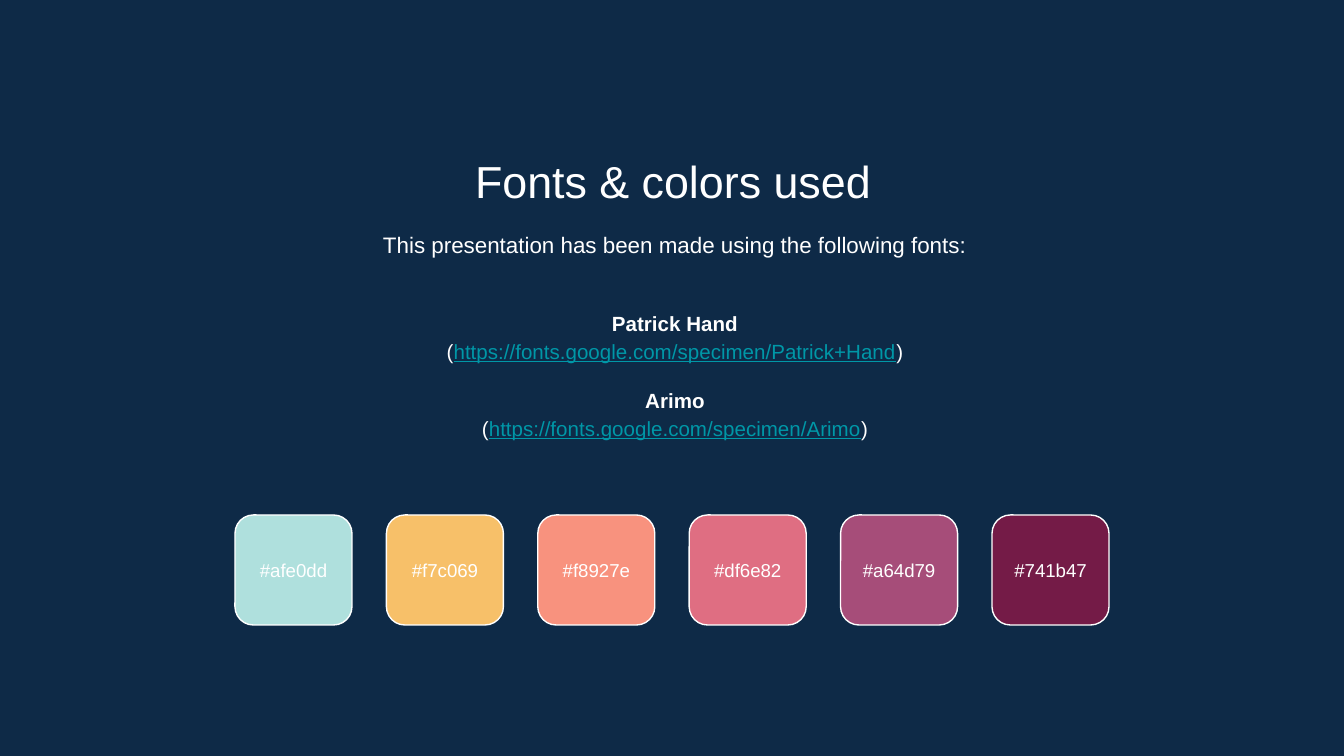
from pptx import Presentation
from pptx import util as u
from pptx.dml.color import RGBColor
from pptx.enum import shapes, text
from pptx.oxml import parse_xml
from pptx.oxml.ns import nsdecls

PX = u.Inches(10) / 1344
COLORS = {"background": "0E2A47", "text": "FFFFFF", "link": "0097A7"}
HEADING = "Fonts & colors used"
INTRO = "This presentation has been made using the following fonts:"
FONTS = [
    ("Patrick Hand", "https://fonts.google.com/specimen/Patrick+Hand"),
    ("Arimo", "https://fonts.google.com/specimen/Arimo"),
]
PALETTE = ["#afe0dd", "#f7c069", "#f8927e", "#df6e82", "#a64d79", "#741b47"]

HEADING_BOX = (155, 140, 1036, 71)
INTRO_BOX = (157, 214, 1036, 65)
FONTS_BOX = (157, 282, 1036, 184)
ROW_LEFT, ROW_RIGHT = 235, 1109
SWATCH_TOP, SWATCH_W, SWATCH_H = 515, 117, 110
LABEL_H = 65

FRAME = {"word_wrap": True, "auto_size": text.MSO_AUTO_SIZE.NONE}
FRAME |= {f"margin_{side}": u.Inches(0.1) for side in ("left", "right", "top", "bottom")}
PARAGRAPH = {"alignment": text.PP_ALIGN.CENTER, "space_before": u.Pt(0), "space_after": u.Pt(0)}
TOP, MIDDLE = text.MSO_ANCHOR.TOP, text.MSO_ANCHOR.MIDDLE


def px(*lengths):
    return [round(length * PX) for length in lengths]


def rgb(name):
    return RGBColor.from_string(COLORS[name])


def apply(target, values):
    for key, value in values.items():
        setattr(target, key, value)


def place(part, box):
    apply(part, dict(zip(("left", "top", "width", "height"), px(*box))))


def write(part, lines, size, anchor=TOP, spacing=1.0, group=1, gap=0):
    frame = part.text_frame
    apply(frame, FRAME | {"vertical_anchor": anchor})
    for index, runs in enumerate(lines):
        line = frame.add_paragraph() if index else frame.paragraphs[0]
        if part.is_placeholder:
            properties = line._p.get_or_add_pPr()
            properties.set("marL", "0")
            properties.set("indent", "0")
            properties.append(parse_xml(f"<a:buNone {nsdecls('a')}/>"))
        apply(line, PARAGRAPH | {"line_spacing": spacing})
        if index and index % group == 0:
            line.space_before = u.Pt(gap)
        for words, style in runs:
            run = line.add_run()
            run.text = words
            apply(run.font, {"name": "Arial", "size": u.Pt(size), "bold": style == "bold",
                             "underline": style == "link"})
            run.font.color.rgb = rgb("link" if style == "link" else "text")


deck = Presentation()
deck.slide_width, deck.slide_height = px(1344, 756)
slide = deck.slides.add_slide(deck.slide_layouts.get_by_name("Two Content"))
slide.background.fill.solid()
slide.background.fill.fore_color.rgb = rgb("background")

heading, intro, font_list = list(slide.placeholders)[:3]
for part, box in ((heading, HEADING_BOX), (intro, INTRO_BOX), (font_list, FONTS_BOX)):
    place(part, box)

write(heading, [[(HEADING, "plain")]], 24)
write(intro, [[(INTRO, "plain")]], 12, spacing=1.15)
font_lines = []
for font_name, address in FONTS:
    font_lines += [[(font_name, "bold")], [("(", "plain"), (address, "link"), (")", "plain")]]
write(font_list, font_lines, 11, MIDDLE, 1.15, group=2, gap=11)

step = (ROW_RIGHT - ROW_LEFT - SWATCH_W) / (len(PALETTE) - 1)
label_top = SWATCH_TOP + (SWATCH_H - LABEL_H) / 2
for column, code in enumerate(PALETTE):
    left = ROW_LEFT + column * step
    swatch = slide.shapes.add_shape(shapes.MSO_SHAPE.ROUNDED_RECTANGLE,
                                    *px(left, SWATCH_TOP, SWATCH_W, SWATCH_H))
    swatch.shadow.inherit = False
    swatch.fill.solid()
    swatch.fill.fore_color.rgb = RGBColor.from_string(code[1:].upper())
    swatch.line.color.rgb = rgb("text")
    swatch.line.width = u.Pt(0.75)
    label = slide.shapes.add_textbox(*px(left, label_top, SWATCH_W, LABEL_H))
    write(label, [[(code, "plain")]], 10, MIDDLE)

deck.save("out.pptx")
